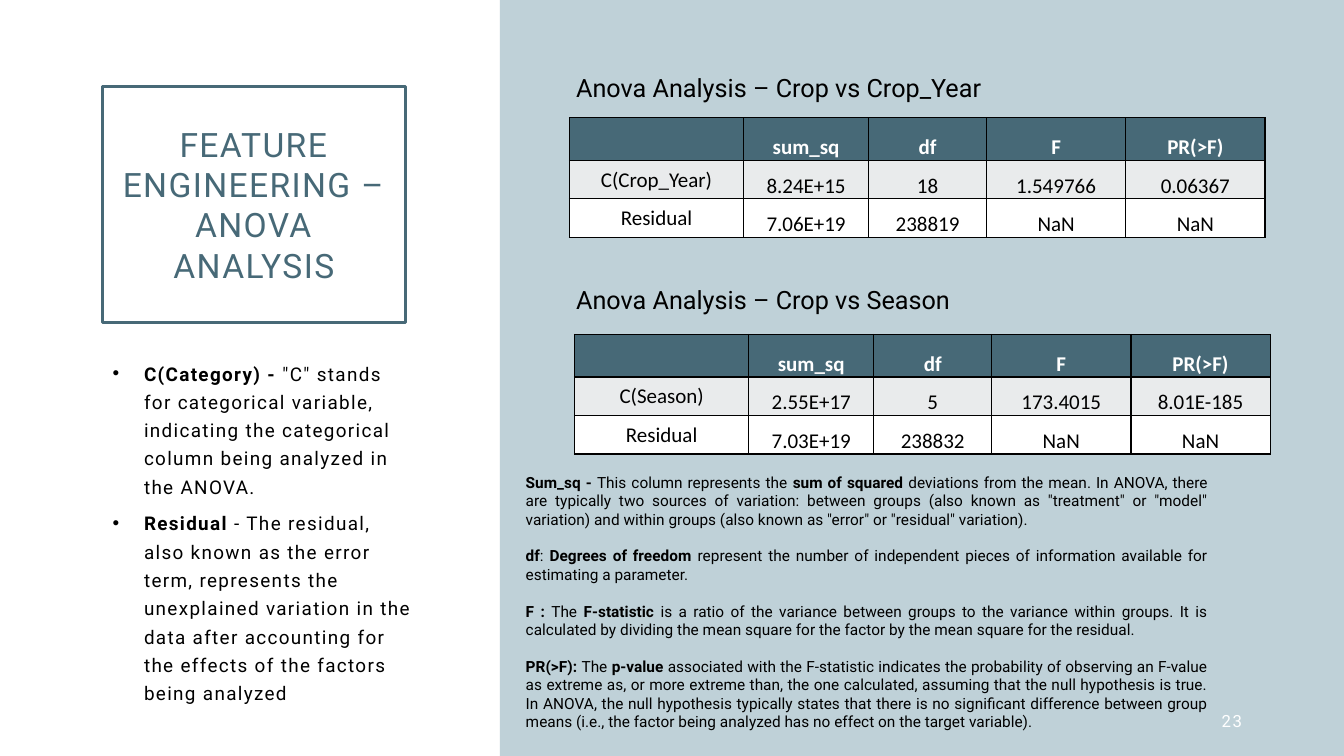
from pptx import Presentation
from pptx.dml.color import RGBColor as Rgb
from pptx.enum.shapes import MSO_SHAPE as Shape
from pptx.enum.text import MSO_ANCHOR as Anchor, MSO_AUTO_SIZE as Auto, PP_ALIGN as Align
from pptx.oxml import parse_xml
from pptx.oxml.ns import nsdecls
from pptx.util import Cm, Pt

HUES = {"teal": "476977", "pale": "AFC6CF", "gray": "E9EBEC", "white": "FFFFFF", "black": "000000"}
COLS = [4.39, 3.15, 2.97, 3.51, 3.51]
ROWS = [1.07, 0.97, 0.97]
HEAD = ["", "sum_sq", "df", "F", "PR(>F)"]
TESTS = [
    ("Anova Analysis – Crop vs Crop_Year", 1.7, 14.35, 2.97, [
        ["C(Crop_Year)", "8.24E+15", "18", "1.549766", "0.06367"],
        ["Residual", "7.06E+19", "238819", "NaN", "NaN"]]),
    ("Anova Analysis – Crop vs Season", 7.04, 14.48, 8.43, [
        ["C(Season)", "2.55E+17", "5", "173.4015", "8.01E-185"],
        ["Residual", "7.03E+19", "238832", "NaN", "NaN"]]),
]
TERMS = [
    ["", "C(Category) - ", '"C" stands for categorical variable, indicating the categorical column '
     "being analyzed in the ANOVA."],
    ["", "Residual", " - The residual, also known as the error term, represents the unexplained "
     "variation in the data after accounting for the effects of the factors being analyzed"],
]
NOTES = [
    ["", "Sum_sq - ", "This column represents the ", "sum of squared",
     " deviations from the mean. In ANOVA, there are typically two sources of variation: between "
     'groups (also known as "treatment" or "model" variation) and within groups (also known as '
     '"error" or "residual" variation).'],
    ["", "df", ": ", "Degrees of freedom ",
     "represent the number of independent pieces of information available for estimating a parameter."],
    ["", "F : ", "The ", "F-statistic",
     " is a ratio of the variance between groups to the variance within groups. It is calculated by "
     "dividing the mean square for the factor by the mean square for the residual."],
    ["", "PR(>F): ", "The ", "p-value",
     " associated with the F-statistic indicates the probability of observing an F-value as extreme "
     "as, or more extreme than, the one calculated, assuming that the null hypothesis is true. In "
     "ANOVA, the null hypothesis typically states that there is no significant difference between "
     "group means (i.e., the factor being analyzed has no effect on the target variable)."],
]


class Deck:
    def __init__(self):
        self.show = Presentation()
        self.show.slide_width, self.show.slide_height = Cm(33.87), Cm(19.05)
        self.slide = self.show.slides.add_slide(self.show.slide_layouts[5])

    def hue(self, name):
        return Rgb.from_string(HUES[name])

    def style(self, para, size, hue="black", face="Roboto", track=False):
        for run in para.runs:
            run.font.size = Pt(size)
            run.font.name = face
            run.font.color.rgb = self.hue(hue)
            if track:
                run.font._element.set("spc", "100")

    def panel(self, x, y, w, h):
        box = self.slide.shapes.add_shape(Shape.RECTANGLE, Cm(x), Cm(y), Cm(w), Cm(h))
        box.shadow.inherit = False
        box.line.fill.background()
        box.fill.solid()
        box.fill.fore_color.rgb = self.hue("pale")
        tint = box.fill._xPr.find(".//{*}srgbClr")
        tint.append(parse_xml(f'<a:alpha {nsdecls("a")} val="80000"/>'))

    def title(self, text, x, y, w, h):
        box = self.slide.shapes.title
        box.left, box.top, box.width, box.height = Cm(x), Cm(y), Cm(w), Cm(h)
        box.line.color.rgb = self.hue("teal")
        box.line.width = Pt(2.25)
        frame = box.text_frame
        frame.text = text
        frame.word_wrap = True
        frame.auto_size = Auto.NONE
        frame.vertical_anchor = Anchor.MIDDLE
        frame.paragraphs[0].alignment = Align.CENTER
        self.style(frame.paragraphs[0], 24, "teal", track=True)

    def frame(self, x, y, w, h):
        frame = self.slide.shapes.add_textbox(Cm(x), Cm(y), Cm(w), Cm(h)).text_frame
        frame.word_wrap = True
        return frame

    def label(self, text, x, y, w, h, size, hue="black", align=Align.LEFT, track=False):
        frame = self.frame(x, y, w, h)
        frame.text = text
        frame.vertical_anchor = Anchor.MIDDLE
        frame.paragraphs[0].alignment = align
        self.style(frame.paragraphs[0], size, hue, track=track)

    def prose(self, items, x, y, w, h, size, gap, align=Align.LEFT, lead=1.0, dots=False):
        frame = self.frame(x, y, w, h)
        for i, parts in enumerate(items):
            para = frame.add_paragraph() if i else frame.paragraphs[0]
            para.alignment = align
            para.line_spacing = lead
            if i:
                para.space_before = Pt(gap)
            if dots:
                props = para._p.get_or_add_pPr()
                props.set("marL", str(Cm(0.79)))
                props.set("indent", str(-Cm(0.79)))
                props.append(parse_xml(f'<a:buFont {nsdecls("a")} typeface="Arial"/>'))
                props.append(parse_xml(f'<a:buChar {nsdecls("a")} char="•"/>'))
            for j, part in enumerate(parts):
                if part:
                    run = para.add_run()
                    run.text = part
                    run.font.bold = j % 2 == 1
            self.style(para, size, track=dots)

    def cell(self, cell, text, fill, hue, bold, anchor):
        cell.text = text
        cell.fill.solid()
        cell.fill.fore_color.rgb = self.hue(fill)
        cell.vertical_anchor = anchor
        cell.margin_left = cell.margin_right = cell.margin_top = Cm(0.03)
        cell.margin_bottom = 0
        para = cell.text_frame.paragraphs[0]
        para.alignment = Align.CENTER
        para.font.bold = bold
        self.style(para, 15, hue, "Calibri")
        for run in para.runs:
            run.font.bold = bold
        for i, side in enumerate("LRTB"):
            cell._tc.get_or_add_tcPr().insert(i, parse_xml(
                f'<a:ln{side} {nsdecls("a")} w="12700"><a:solidFill>'
                f'<a:srgbClr val="{HUES["black"]}"/></a:solidFill></a:ln{side}>'))

    def table(self, data, x, y):
        grid = self.slide.shapes.add_table(
            len(ROWS), len(COLS), Cm(x), Cm(y), Cm(sum(COLS)), Cm(sum(ROWS))).table
        for col, width in zip(grid.columns, COLS):
            col.width = Cm(width)
        for row, height in zip(grid.rows, ROWS):
            row.height = Cm(height)
        for r, line in enumerate(data):
            fill = ["teal", "gray", "white"][r]
            for c, text in enumerate(line):
                anchor = Anchor.MIDDLE if r and not c else Anchor.BOTTOM
                self.cell(grid.cell(r, c), text, fill, "black" if r else "white", r == 0, anchor)


def main():
    deck = Deck()
    deck.panel(12.6, 0, 21.27, 19.05)
    deck.title("FEATURE ENGINEERING – ANOVA ANALYSIS", 2.59, 2.18, 7.62, 5.94)
    deck.prose(TERMS, 2.59, 8.86, 8.1, 8.13, 13.5, 6, lead=1.25, dots=True)
    for name, top, x, y, rows in TESTS:
        deck.label(name, 14.27, top, 17.7, 1.02, 18)
        deck.table([HEAD] + rows, x, y)
    deck.prose(NOTES, 13, 11.79, 17.7, 6.83, 11, 13, Align.JUSTIFY)
    deck.label("23", 23.93, 17.65, 7.62, 1.02, 12, "white", Align.RIGHT, True)
    deck.show.save("out.pptx")


if __name__ == "__main__":
    main()
